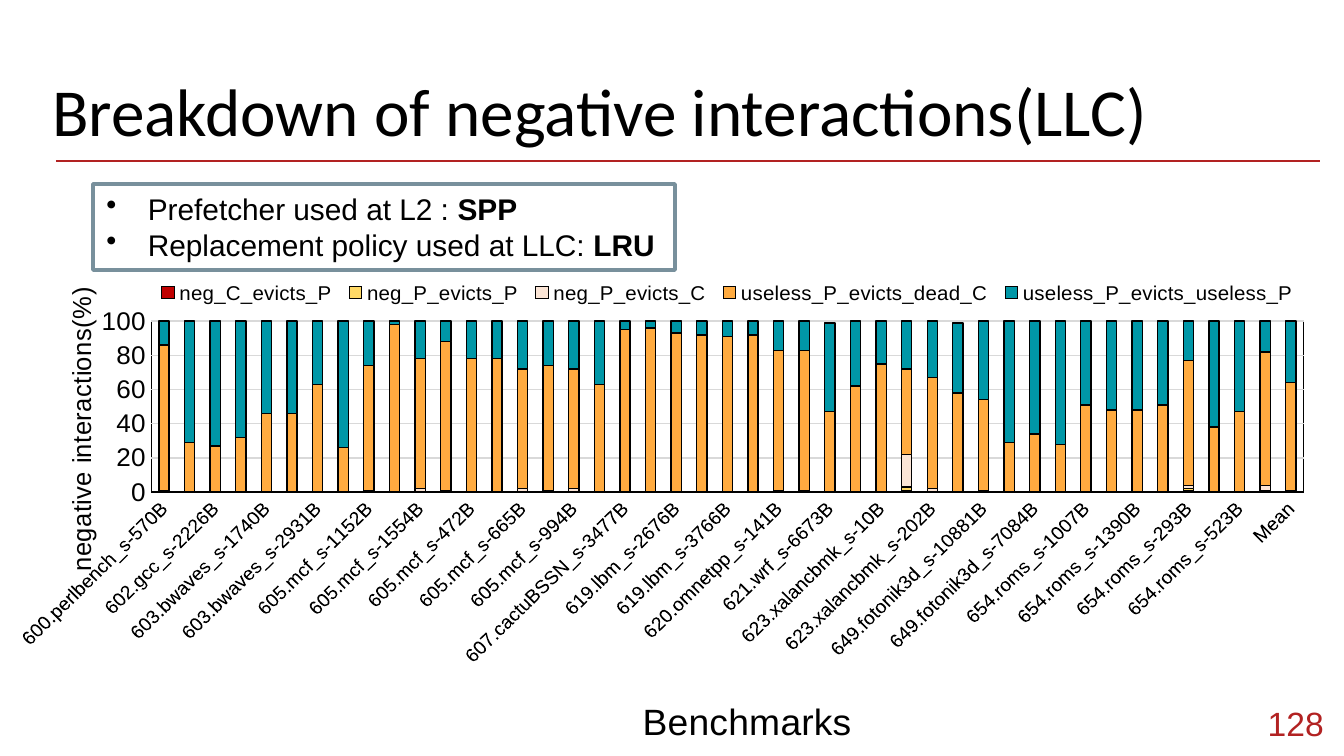
"""Build the slide on the breakdown of negative interactions at the LLC."""
from dataclasses import dataclass

import lxml.etree
import pptx
import pptx.chart.data
import pptx.dml.color
import pptx.enum.chart
import pptx.enum.shapes
import pptx.enum.text
import pptx.oxml.ns
import pptx.util

PX = 914400 / 134.4
qn = pptx.oxml.ns.qn


@dataclass(frozen=True)
class Theme:
    black: str = "000000"
    white: str = "FFFFFF"
    accent: str = "B22222"
    border: str = "78909C"
    grid: str = "D9D9D9"
    heading_font: str = "Calibri"
    body_font: str = "Arial"
    title: float = 36
    number: float = 18
    bullet: float = 16
    category_title: float = 20
    value: float = 14
    legend: float = 11
    category: float = 10.5
    hairline: float = 0.75


@dataclass(frozen=True)
class Box:
    left: int
    top: int
    width: int
    height: int

    def emu(self) -> list[int]:
        return [round(side * PX) for side in (self.left, self.top, self.width, self.height)]


@dataclass(frozen=True)
class Setting:
    label: str
    value: str


@dataclass(frozen=True)
class Series:
    name: str
    color: str
    values: list[int]


THEME = Theme()
CHART_BOX = Box(17, 269, 1313, 486)
SETTINGS = [Setting("Prefetcher used at L2 : ", "SPP"), Setting("Replacement policy used at LLC: ", "LRU")]
BENCHMARKS = """
600.perlbench_s-570B 602.gcc_s-1850B 602.gcc_s-2226B 602.gcc_s-734B 603.bwaves_s-1740B
603.bwaves_s-2609B 603.bwaves_s-2931B 603.bwaves_s-891B 605.mcf_s-1152B 605.mcf_s-1536B
605.mcf_s-1554B 605.mcf_s-1644B 605.mcf_s-472B 605.mcf_s-484B 605.mcf_s-665B
605.mcf_s-782B 605.mcf_s-994B 607.cactuBSSN_s-2421B 607.cactuBSSN_s-3477B 607.cactuBSSN_s-4004B
619.lbm_s-2676B 619.lbm_s-2677B 619.lbm_s-3766B 619.lbm_s-4268B 620.omnetpp_s-141B
620.omnetpp_s-874B 621.wrf_s-6673B 621.wrf_s-8065B 623.xalancbmk_s-10B 623.xalancbmk_s-165B
623.xalancbmk_s-202B 628.pop2_s-17B 649.fotonik3d_s-10881B 649.fotonik3d_s-1176B 649.fotonik3d_s-7084B
649.fotonik3d_s-8225B 654.roms_s-1007B 654.roms_s-1070B 654.roms_s-1390B 654.roms_s-1613B
654.roms_s-293B 654.roms_s-294B 654.roms_s-523B 657.xz_s-2302B Mean
""".split()


def sparse(values: dict[int, int]) -> list[int]:
    return [values.get(index, 0) for index in range(len(BENCHMARKS))]


SERIES = [
    Series("neg_C_evicts_P", "C00000", sparse({29: 1, 40: 1, 43: 1})),
    Series("neg_P_evicts_P", "FFD966", sparse({29: 2, 40: 1})),
    Series("neg_P_evicts_C", "FBE5D6", sparse({
        0: 1, 8: 1, 10: 2, 11: 1, 14: 2, 15: 1, 16: 2, 24: 1, 25: 1,
        29: 19, 30: 2, 32: 1, 40: 2, 43: 3, 44: 1})),
    Series("useless_P_evicts_dead_C", "FFAB40", [
        85, 29, 27, 32, 46, 46, 63, 26, 73, 98, 76, 87, 78, 78, 70, 73, 70, 63, 95, 96, 93, 92, 91,
        92, 82, 82, 47, 62, 75, 50, 65, 58, 53, 29, 34, 28, 51, 48, 48, 51, 73, 38, 47, 78, 63]),
    Series("useless_P_evicts_useless_P", "0097A7", [
        14, 71, 73, 68, 54, 54, 37, 74, 26, 2, 22, 12, 22, 22, 29, 26, 28, 37, 5, 4, 7, 8, 9,
        8, 17, 17, 52, 38, 25, 29, 33, 41, 46, 71, 66, 72, 49, 52, 52, 49, 24, 62, 53, 18, 36]),
]


def rgb(color: str) -> pptx.dml.color.RGBColor:
    return pptx.dml.color.RGBColor.from_string(color)


def style_font(font, size: float, *, color=THEME.black, name=THEME.body_font, bold=False) -> None:
    font.size, font.name, font.bold = pptx.util.Pt(size), name, bold
    font.color.rgb = rgb(color)


def style_line(line, color: str, width: float) -> None:
    line.color.rgb, line.width = rgb(color), pptx.util.Pt(width)


def add_text(paragraph, text: str, *, size: float, **font_format) -> None:
    run = paragraph.add_run()
    run.text = text
    style_font(run.font, size, **font_format)


def add_label(slide, box: Box, text: str, *, align=None, anchor=pptx.enum.text.MSO_ANCHOR.TOP, **font_format) -> None:
    frame = slide.shapes.add_textbox(*box.emu()).text_frame
    frame.word_wrap, frame.vertical_anchor = True, anchor
    frame.margin_left = frame.margin_right = frame.margin_top = frame.margin_bottom = pptx.util.Inches(0.1)
    frame.paragraphs[0].alignment = align
    add_text(frame.paragraphs[0], text, **font_format)


def add_rule(slide, left: int, right: int, top: int) -> None:
    start, end, level = (round(value * PX) for value in (left, right, top))
    rule = slide.shapes.add_connector(pptx.enum.shapes.MSO_CONNECTOR.STRAIGHT, start, level, end, level)
    style_line(rule.line, THEME.accent, 1.5)
    lxml.etree.SubElement(rule._element.spPr, qn("a:effectLst"))


def add_settings(slide, box: Box, settings: list[Setting]) -> None:
    shape = slide.shapes.add_shape(pptx.enum.shapes.MSO_SHAPE.RECTANGLE, *box.emu())
    shape.shadow.inherit = False
    shape.fill.solid()
    shape.fill.fore_color.rgb = rgb(THEME.white)
    style_line(shape.line, THEME.border, 2)
    frame = shape.text_frame
    frame.word_wrap, frame.vertical_anchor = False, pptx.enum.text.MSO_ANCHOR.TOP
    for index, setting in enumerate(settings):
        paragraph = frame.add_paragraph() if index else frame.paragraphs[0]
        paragraph.alignment = pptx.enum.text.PP_ALIGN.LEFT
        properties = paragraph._element.get_or_add_pPr()
        indent = pptx.util.Inches(0.31)
        properties.set("marL", str(indent))
        properties.set("indent", str(-indent))
        bullet_color = lxml.etree.SubElement(properties, qn("a:buClr"))
        lxml.etree.SubElement(bullet_color, qn("a:srgbClr"), val=THEME.black)
        lxml.etree.SubElement(properties, qn("a:buChar"), char="•")
        add_text(paragraph, setting.label, size=THEME.bullet)
        add_text(paragraph, setting.value, size=THEME.bullet, bold=True)


def place(element, index: int, **fractions: float) -> None:
    for old_layout in element.findall(qn("c:layout")):
        element.remove(old_layout)
    layout = lxml.etree.Element(qn("c:layout"))
    element.insert(index, layout)
    manual = lxml.etree.SubElement(layout, qn("c:manualLayout"))
    if "w" in fractions:
        lxml.etree.SubElement(manual, qn("c:layoutTarget"), val="inner")
    for side in ("x", "y"):
        lxml.etree.SubElement(manual, qn(f"c:{side}Mode"), val="edge")
    for side, fraction in fractions.items():
        lxml.etree.SubElement(manual, qn(f"c:{side}"), val=str(fraction))


def style_axis(axis, title: str, *, size: float, title_size: float, rotation: int, x: float, y: float) -> None:
    axis.major_tick_mark = axis.minor_tick_mark = pptx.enum.chart.XL_TICK_MARK.NONE
    style_font(axis.tick_labels.font, size)
    frame = axis.axis_title.text_frame
    add_text(frame.paragraphs[0], title, size=title_size)
    frame._txBody.find(qn("a:bodyPr")).set("rot", str(rotation * 60000))
    place(axis.axis_title._element, 1, x=x, y=y)


def add_breakdown_chart(slide, box: Box, categories: list[str], series_list: list[Series]) -> None:
    data = pptx.chart.data.CategoryChartData()
    data.categories = categories
    for series in series_list:
        data.add_series(series.name, series.values)
    chart = slide.shapes.add_chart(pptx.enum.chart.XL_CHART_TYPE.COLUMN_STACKED, *box.emu(), data).chart
    chart.has_title = False
    style_font(chart.font, 10)
    plot = chart.plots[0]
    plot.gap_width, plot.overlap, plot.vary_by_categories = 150, 100, False
    for drawn, series in zip(plot.series, series_list):
        drawn.format.fill.solid()
        drawn.format.fill.fore_color.rgb = rgb(series.color)
        style_line(drawn.format.line, THEME.black, THEME.hairline)
    category_axis, value_axis = chart.category_axis, chart.value_axis
    style_axis(category_axis, "Benchmarks", size=THEME.category, title_size=THEME.category_title,
               rotation=0, x=0.47, y=0.89)
    style_line(category_axis.format.line, THEME.black, THEME.hairline)
    category_axis._element.find(qn("c:txPr")).find(qn("a:bodyPr")).set("rot", str(-45 * 60000))
    style_axis(value_axis, "negative interactions(%)", size=THEME.value, title_size=THEME.value,
               rotation=-90, x=0.03, y=0.04)
    value_axis.minimum_scale, value_axis.maximum_scale, value_axis.major_unit = 0, 100, 20
    value_axis.format.line.fill.background()
    style_line(value_axis.major_gridlines.format.line, THEME.grid, THEME.hairline)
    plot_area = plot._element.getparent()
    place(plot_area, 0, x=0.1, y=0.11, w=0.88, h=0.36)
    border = lxml.etree.SubElement(lxml.etree.SubElement(plot_area, qn("c:spPr")), qn("a:ln"), w="9525")
    lxml.etree.SubElement(lxml.etree.SubElement(border, qn("a:solidFill")), qn("a:srgbClr"), val=THEME.black)
    chart.has_legend = True
    chart.legend.position = pptx.enum.chart.XL_LEGEND_POSITION.BOTTOM
    chart.legend.include_in_layout = False
    style_font(chart.legend.font, THEME.legend)
    place(chart.legend._element, 1, x=0.1, y=0.02, w=0.88, h=0.06)


def main() -> None:
    presentation = pptx.Presentation()
    presentation.slide_width, presentation.slide_height = round(1344 * PX), round(756 * PX)
    slide = presentation.slides.add_slide(presentation.slide_layouts[6])
    add_rule(slide, 56, 1320, 161)
    add_label(slide, Box(39, 56, 1253, 130), "Breakdown of negative interactions(LLC)",
              size=THEME.title, name=THEME.heading_font)
    add_label(slide, Box(1243, 694, 94, 58), "128", size=THEME.number, color=THEME.accent,
              align=pptx.enum.text.PP_ALIGN.RIGHT, anchor=pptx.enum.text.MSO_ANCHOR.MIDDLE)
    add_settings(slide, Box(93, 184, 582, 86), SETTINGS)
    add_breakdown_chart(slide, CHART_BOX, BENCHMARKS, SERIES)
    presentation.save("out.pptx")


if __name__ == "__main__":
    main()
